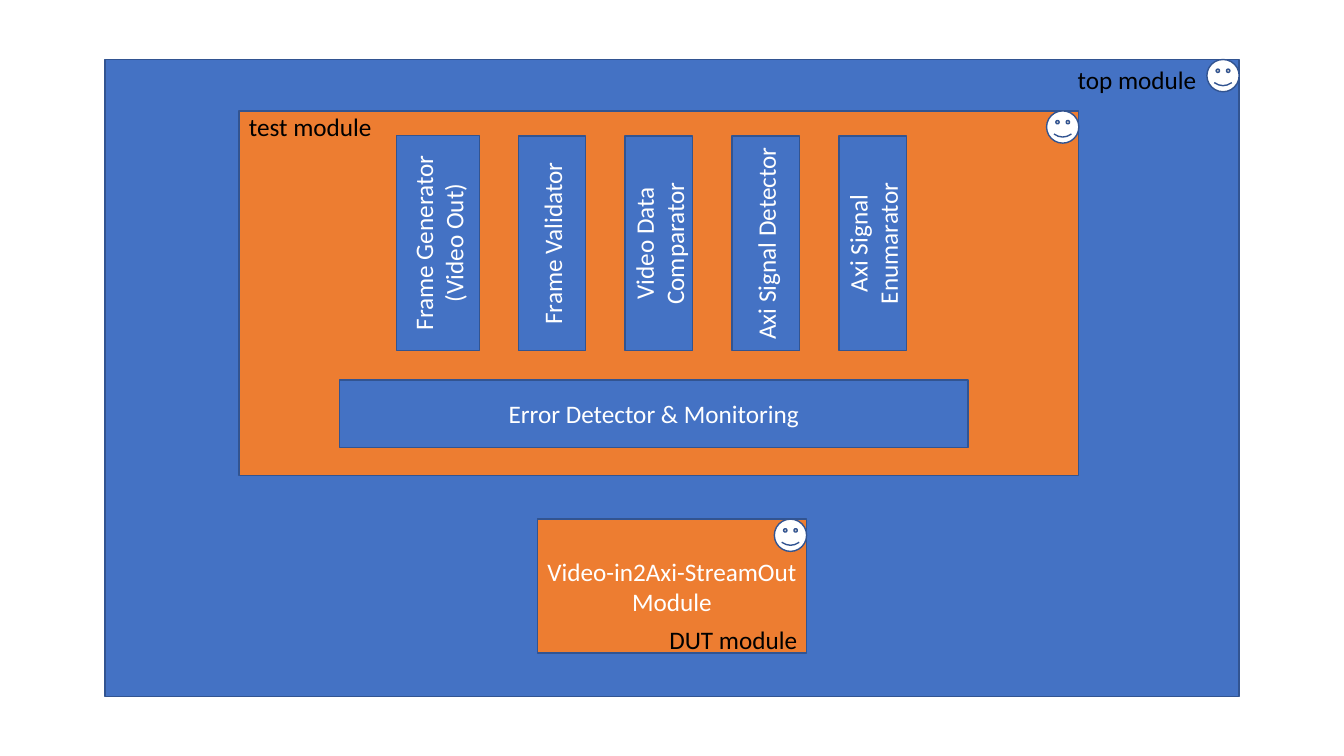
from dataclasses import dataclass

from pptx import Presentation
from pptx.dml.color import RGBColor
from pptx.enum.shapes import MSO_SHAPE
from pptx.enum.text import MSO_ANCHOR, MSO_AUTO_SIZE, PP_ALIGN
from pptx.slide import Slide
from pptx.text.text import TextFrame
from pptx.util import Emu, Pt

BLUE = RGBColor(0x44, 0x72, 0xC4)
ORANGE = RGBColor(0xED, 0x7D, 0x31)
OUTLINE = RGBColor(0x32, 0x54, 0x91)
WHITE = RGBColor(0xFF, 0xFF, 0xFF)
BLACK = RGBColor(0x00, 0x00, 0x00)

EMU_PER_PX = 9144
SMILEY_SIZE = 32
BAR_LENGTH = 213
BAR_WIDTH = 67
BAR_TOP = 208
BAR_LEFT = 441
BAR_PITCH = 106


@dataclass(frozen=True)
class Block:
    left: int
    top: int
    width: int
    height: int
    fill: RGBColor
    text: str = ""
    rotation: int = 0
    kind: MSO_SHAPE = MSO_SHAPE.FLOWCHART_PROCESS


@dataclass(frozen=True)
class Label:
    left: int
    top: int
    width: int
    text: str


TOP_MODULE = Block(104, 59, 1125, 632, BLUE)
DUT_MODULE = Block(533, 515, 267, 133, ORANGE, "Video-in2Axi-StreamOut Module")
TEST_MODULE = Block(237, 110, 833, 362, ORANGE)
MODULES = [TOP_MODULE, DUT_MODULE, TEST_MODULE]

FRAME_GENERATOR = Block(328, 200, BAR_LENGTH, 82, BLUE, "Frame Generator\n(Video Out)", 270)
BAR_TEXTS = [
    "Frame Validator",
    "Video Data Comparator",
    "Axi Signal Detector",
    "Axi Signal Enumarator",
]
BARS = [
    Block(BAR_LEFT + index * BAR_PITCH, BAR_TOP, BAR_LENGTH, BAR_WIDTH, BLUE, text, 270)
    for index, text in enumerate(BAR_TEXTS)
]
ERROR_DETECTOR = Block(337, 377, 623, 67, BLUE, "Error Detector & Monitoring")

LABELS = [
    Label(1059, 59, 139, "top module"),
    Label(654, 614, 148, "DUT module"),
    Label(237, 106, 148, "test module"),
]


def px(length: int) -> Emu:
    return Emu(length * EMU_PER_PX)


def write_text(frame: TextFrame, text: str, color: RGBColor, align: PP_ALIGN) -> None:
    frame.text = text
    for para in frame.paragraphs:
        para.alignment = align
        para.font.name = "Calibri"
        para.font.size = Pt(18)
        para.font.color.rgb = color


def draw_block(page: Slide, block: Block) -> None:
    shape = page.shapes.add_shape(
        block.kind, px(block.left), px(block.top), px(block.width), px(block.height)
    )
    shape.shadow.inherit = False
    shape.rotation = block.rotation
    shape.fill.solid()
    shape.fill.fore_color.rgb = block.fill
    shape.line.color.rgb = OUTLINE
    shape.line.width = Pt(1)
    if block.text:
        shape.text_frame.word_wrap = True
        shape.text_frame.vertical_anchor = MSO_ANCHOR.MIDDLE
        write_text(shape.text_frame, block.text, WHITE, PP_ALIGN.CENTER)


def corner_smiley(module: Block) -> Block:
    left = module.left + module.width - SMILEY_SIZE
    return Block(
        left, module.top, SMILEY_SIZE, SMILEY_SIZE, WHITE, kind=MSO_SHAPE.SMILEY_FACE
    )


def draw_label(page: Slide, label: Label) -> None:
    box = page.shapes.add_textbox(px(label.left), px(label.top), px(label.width), px(40))
    box.text_frame.word_wrap = False
    box.text_frame.auto_size = MSO_AUTO_SIZE.SHAPE_TO_FIT_TEXT
    write_text(box.text_frame, label.text, BLACK, PP_ALIGN.LEFT)


def main() -> None:
    deck = Presentation()
    deck.slide_width = px(1333)
    deck.slide_height = px(750)
    page = deck.slides.add_slide(deck.slide_layouts[6])
    smileys = [corner_smiley(module) for module in MODULES]
    for block in [*MODULES, FRAME_GENERATOR, *BARS, ERROR_DETECTOR, *smileys]:
        draw_block(page, block)
    for label in LABELS:
        draw_label(page, label)
    deck.save("out.pptx")


if __name__ == "__main__":
    main()
